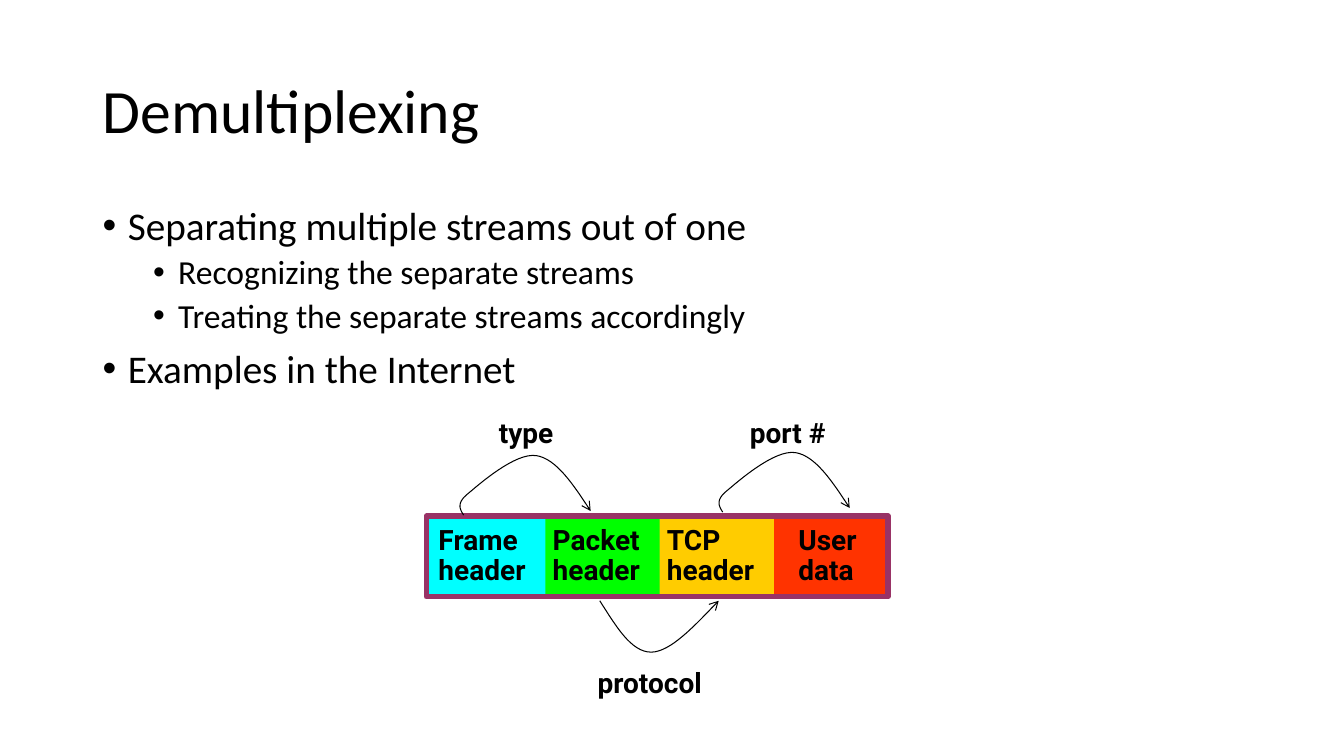
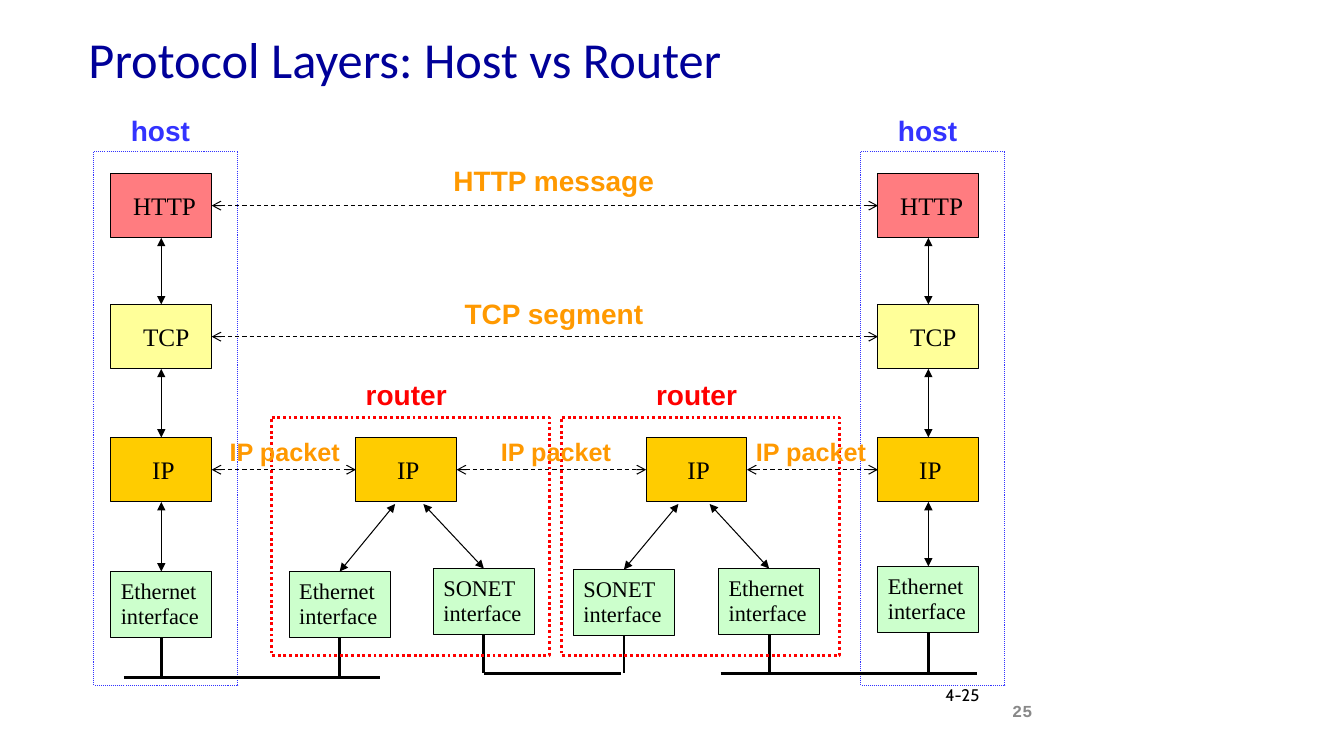
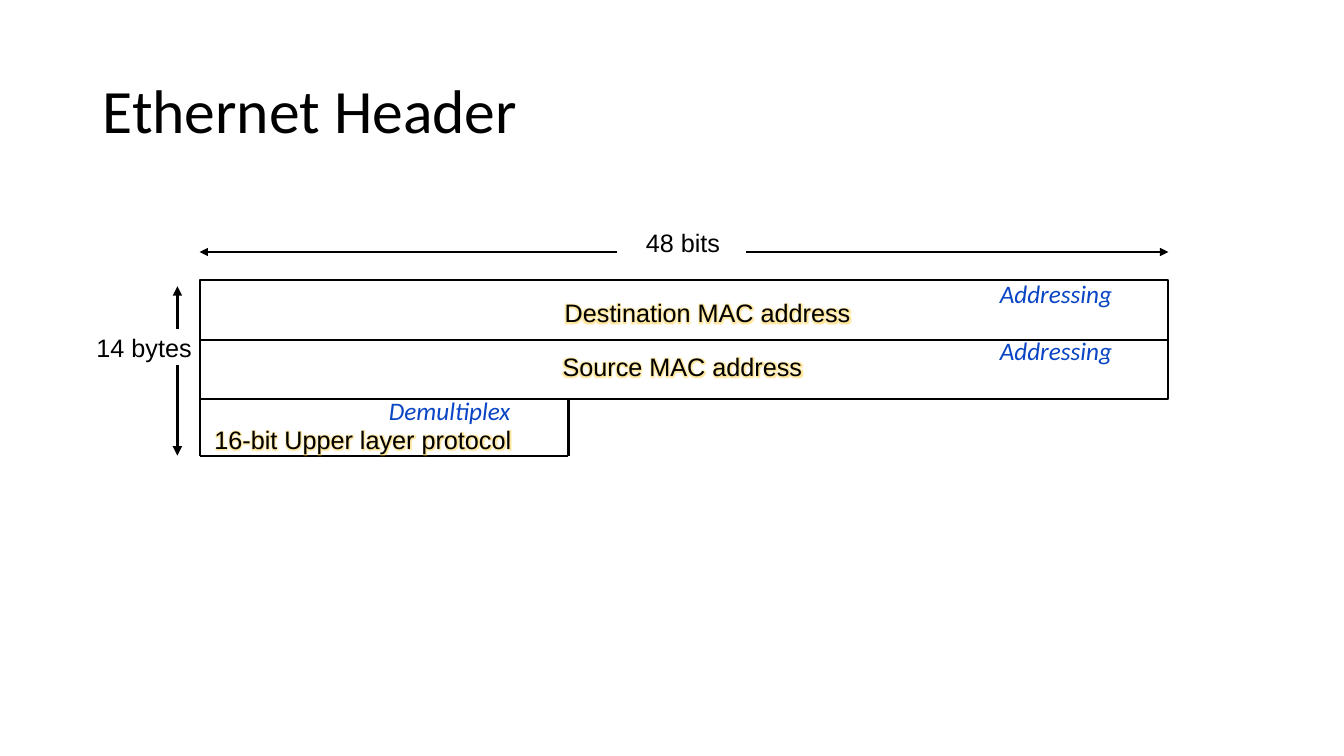
from dataclasses import dataclass, field
from typing import NamedTuple, Optional

from lxml.etree import SubElement
from pptx import Presentation
from pptx.dml.color import RGBColor
from pptx.enum.dml import MSO_LINE
from pptx.enum.shapes import MSO_CONNECTOR, MSO_SHAPE
from pptx.enum.text import MSO_ANCHOR, MSO_AUTO_SIZE, PP_ALIGN
from pptx.oxml.ns import qn
from pptx.util import Emu, Inches, Pt

# The slide is a grid of cells, each a tenth of an inch wide and high.
CELL = Inches(0.1)
COLUMNS, ROWS = 133.33, 75

BLACK = RGBColor(0x00, 0x00, 0x00)
WHITE = RGBColor(0xFF, 0xFF, 0xFF)
NAVY = RGBColor(0x00, 0x00, 0x99)
BLUE = RGBColor(0x33, 0x33, 0xFF)
NOTE_BLUE = RGBColor(0x09, 0x45, 0xC4)
RED = RGBColor(0xFF, 0x00, 0x00)
ORANGE = RGBColor(0xFF, 0x99, 0x00)
GRAY = RGBColor(0x89, 0x89, 0x89)
PLUM = RGBColor(0x99, 0x33, 0x66)
CYAN = RGBColor(0x00, 0xFF, 0xFF)
GREEN = RGBColor(0x00, 0xFF, 0x00)
GOLD = RGBColor(0xFF, 0xCC, 0x00)
VERMILION = RGBColor(0xFF, 0x33, 0x00)
SALMON = RGBColor(0xFF, 0x7C, 0x80)
PALE_YELLOW = RGBColor(0xFF, 0xFF, 0x99)
PALE_GREEN = RGBColor(0xCC, 0xFF, 0xCC)
GLOW = RGBColor(0xFF, 0xC0, 0x00)

# Connection sites of a rectangle
TOP, LEFT, BOTTOM, RIGHT = range(4)


class Point(NamedTuple):
    x: float
    y: float


class Area(NamedTuple):
    left: float
    top: float
    width: float
    height: float


class Joint(NamedTuple):
    box: object
    side: int


@dataclass(frozen=True)
class TextStyle:
    name: str
    size: float
    color: RGBColor = BLACK
    extra: dict = field(default_factory=dict)
    spacing: Optional[float] = None
    align: PP_ALIGN = PP_ALIGN.LEFT


@dataclass(frozen=True)
class Stroke:
    width: float = 0.75
    color: RGBColor = BLACK
    dash: Optional[MSO_LINE] = None
    head: Optional[str] = None
    tail: Optional[str] = None


@dataclass(frozen=True)
class Layer:
    text: str
    top: float
    inset: float
    color: RGBColor


@dataclass(frozen=True)
class Interface:
    text: str
    left: float
    top: float
    link_x: float
    bus_y: float


@dataclass(frozen=True)
class Router:
    left: float
    interfaces: tuple


BOLD = {"bold": True}
TITLE = TextStyle("Calibri", 44, spacing=0.9)
TITLE_AREA = Area(9.2, 4, 115, 14.5)
HEADER_TEXT = TextStyle("Roboto", 20, extra=BOLD, spacing=0.9)
ARC_LABEL = TextStyle("Roboto", 20, extra=BOLD)
LAYER_TEXT = TextStyle("Times New Roman", 18)
INTERFACE_TEXT = TextStyle("Times New Roman", 16, spacing=0.9)
FIELD_TEXT = TextStyle("Arial", 18, align=PP_ALIGN.CENTER)
NOTE_TEXT = TextStyle("Calibri", 18, NOTE_BLUE, {"italic": True})

THIN = Stroke()
ARC = Stroke(tail="arrow")
STACK_LINK = Stroke(head="triangle", tail="triangle")
PEER_LINK = Stroke(dash=MSO_LINE.DASH, head="arrow", tail="arrow")
BUS = Stroke(2)
FIELD_LINE = Stroke(1.5)


def cells(count: float) -> Emu:
    return Emu(round(count * CELL))


def write(frame, text: str, style: TextStyle) -> None:
    frame.text = text
    for paragraph in frame.paragraphs:
        paragraph.alignment = style.align
        if style.spacing:
            paragraph.line_spacing = style.spacing
        values = {"name": style.name, "size": Pt(style.size), **style.extra}
        for run in paragraph.runs:
            for attribute, value in values.items():
                setattr(run.font, attribute, value)
            run.font.color.rgb = style.color


def add_text(slide, area: Area, text: str, style: TextStyle,
             anchor=MSO_ANCHOR.TOP):
    box = slide.shapes.add_textbox(*map(cells, area))
    box.text_frame.word_wrap = True
    box.text_frame.vertical_anchor = anchor
    write(box.text_frame, text, style)
    return box


def add_label(slide, area: Area, text: str, style: TextStyle):
    """Add a one-line text that sets the size of its own box."""
    label = add_text(slide, area, text, style)
    label.text_frame.word_wrap = False
    label.text_frame.auto_size = MSO_AUTO_SIZE.SHAPE_TO_FIT_TEXT
    return label


def add_title(slide, text: str) -> None:
    add_text(slide, TITLE_AREA, text, TITLE, MSO_ANCHOR.MIDDLE)


def apply_stroke(shape, stroke: Stroke) -> None:
    shape.line.color.rgb = stroke.color
    shape.line.width = Pt(stroke.width)
    if stroke.dash:
        shape.line.dash_style = stroke.dash
    outline = shape.element.spPr.find(qn("a:ln"))
    for tag, kind in (("a:headEnd", stroke.head), ("a:tailEnd", stroke.tail)):
        if kind:
            SubElement(outline, qn(tag), type=kind)


def add_box(slide, area: Area, fill: Optional[RGBColor] = None,
            stroke: Optional[Stroke] = None, text: str = "",
            style: TextStyle = LAYER_TEXT, inset: float = 1):
    box = slide.shapes.add_shape(MSO_SHAPE.RECTANGLE, *map(cells, area))
    box.shadow.inherit = False
    if fill is None:
        box.fill.background()
    else:
        box.fill.solid()
        box.fill.fore_color.rgb = fill
    if stroke:
        apply_stroke(box, stroke)
    else:
        box.line.fill.background()
    if text:
        frame = box.text_frame
        margins = {"margin_left": cells(inset), "margin_right": 0,
                   "margin_top": 0, "margin_bottom": 0}
        for attribute, value in margins.items():
            setattr(frame, attribute, value)
        frame.vertical_anchor = MSO_ANCHOR.MIDDLE
        write(frame, text, style)
    return box


def add_line(slide, start, end, stroke: Stroke):
    """Draw a line whose ends are each a Point or a Joint on a box."""
    origin = Emu(0)
    line = slide.shapes.add_connector(
        MSO_CONNECTOR.STRAIGHT,
        *(cells(value) if isinstance(spot, Point) else origin
          for spot in (start, end)
          for value in (spot if isinstance(spot, Point) else (0, 0))))
    if isinstance(start, Joint):
        line.begin_connect(*start)
    if isinstance(end, Joint):
        line.end_connect(*end)
    apply_stroke(line, stroke)
    SubElement(line.element.spPr, qn("a:effectLst"))
    return line


def bezier(start, first, second, end, steps: int = 16):
    """Yield the points after the start of a cubic curve."""
    for step in range(1, steps + 1):
        t = step / steps
        weights = ((1 - t) ** 3, 3 * t * (1 - t) ** 2,
                   3 * t ** 2 * (1 - t), t ** 3)
        yield tuple(sum(w * p[axis] for w, p in
                        zip(weights, (start, first, second, end)))
                    for axis in (0, 1))


def add_arc(slide, knots, dx: float = 0, dy: float = 0) -> None:
    """Draw an arrow through a start and triples of curve points."""
    points = [Point(x + dx, y + dy) for x, y in knots]
    outline = slide.shapes.build_freeform(*map(cells, points[0]))
    for first in range(0, len(points) - 1, 3):
        outline.add_line_segments(
            [tuple(map(cells, spot))
             for spot in bezier(*points[first:first + 4])], close=False)
    arc = outline.convert_to_shape()
    arc.shadow.inherit = False
    arc.fill.background()
    apply_stroke(arc, ARC)


def add_glow(label) -> None:
    for properties in label.element.iter(qn("a:rPr")):
        fill = properties.find(qn("a:solidFill"))
        effects = SubElement(properties, qn("a:effectLst"))
        glow = SubElement(effects, qn("a:glow"), rad=str(Pt(5)))
        color = SubElement(glow, qn("a:srgbClr"), val=str(GLOW))
        SubElement(color, qn("a:alpha"), val="40000")
        fill.addnext(effects)


def add_bullets(slide, area: Area, items) -> None:
    sizes, befores, indents = (28, 24), (10, 5), (0.25, 0.75)
    body = add_text(slide, area, "\n".join(text for _, text in items),
                    TextStyle("Calibri", 28, spacing=0.9))
    for paragraph, (level, _) in zip(body.text_frame.paragraphs, items):
        paragraph.level = level
        paragraph.space_before = Pt(befores[level])
        paragraph.runs[0].font.size = Pt(sizes[level])
        properties = paragraph._p.get_or_add_pPr()
        properties.set("marL", str(Inches(indents[level])))
        properties.set("indent", str(Inches(-0.25)))
        SubElement(properties, qn("a:buFont"), typeface="Arial")
        SubElement(properties, qn("a:buChar"), char="•")


def build_demultiplexing(slide) -> None:
    add_title(slide, "Demultiplexing")
    add_bullets(slide, Area(9.2, 20, 115, 47.6), (
        (0, "Separating multiple streams out of one"),
        (1, "Recognizing the separate streams"),
        (1, "Treating the separate streams accordingly"),
        (0, "Examples in the Internet")))

    packet = Area(42.3, 51.2, 45.8, 8)
    parts = (("Frame\nheader", CYAN, 1.2), ("Packet\nheader", GREEN, 1.2),
             ("TCP\nheader", GOLD, 1.2), ("User\ndata", VERMILION, 2.9))
    part_width = 11.8
    pitch = (packet.width - part_width) / (len(parts) - 1)
    for column, (text, color, inset) in reversed(list(enumerate(parts))):
        add_box(slide, Area(packet.left + column * pitch, packet.top,
                            part_width, packet.height),
                color, text=text, style=HEADER_TEXT, inset=inset)
    add_box(slide, packet, stroke=Stroke(4, PLUM))

    arch = ((46, 51.1), (45.6, 50.5), (45.3, 49.9), (46.4, 49),
            (47.6, 48), (51.1, 44.9), (53.2, 45.2),
            (55.2, 45.5), (56.9, 48.1), (58.6, 50.7))
    dip = ((59.5, 59.6), (61.1, 62.1), (62.6, 64.7), (64.6, 64.7),
           (66.5, 64.7), (68.9, 62.1), (71.3, 59.6))
    add_arc(slide, arch)
    add_arc(slide, arch, 25.7, -0.3)
    add_arc(slide, dip)
    for area, text in ((Area(48.5, 40.7, 7.8, 4.4), "type"),
                       (Area(58.3, 65.5, 13.1, 4.3), "protocol"),
                       (Area(73.4, 40.7, 9.7, 4.3), "port #")):
        add_label(slide, area, text, ARC_LABEL)


LAYERS = (Layer("HTTP", 17.2, 2.2, SALMON),
          Layer("TCP", 30.2, 3.2, PALE_YELLOW),
          Layer("IP", 43.4, 4.1, GOLD))
ROUTERS = (
    Router(26.9, (Interface("Ethernet\ninterface", 28.7, 56.7, 39.2, 67.2),
                  Interface("SONET\ninterface", 43, 56.4, 42, 66.8))),
    Router(55.7, (Interface("SONET\ninterface", 56.9, 56.5, 67.3, 66.8),
                  Interface("Ethernet\ninterface", 71.3, 56.4, 70.4, 66.8))))


def add_layer(slide, left: float, layer: Layer):
    return add_box(slide, Area(left, layer.top, 10, 6.4), layer.color, THIN,
                   layer.text, inset=layer.inset)


def add_interface(slide, left: float, top: float, text: str, bus_y: float):
    """Draw an interface box and the stub that ties it to its bus."""
    width = 10
    box = add_box(slide, Area(left, top, width, 6.6), PALE_GREEN, THIN,
                  text, INTERFACE_TEXT)
    add_line(slide, Joint(box, BOTTOM), Point(left + width / 2, bus_y), BUS)
    return box


def add_host(slide, left: float, interface_top: float, bus_y: float):
    box_left = left + 1.7
    stack = [add_layer(slide, box_left, layer) for layer in LAYERS]
    stack.append(add_interface(slide, box_left, interface_top,
                               "Ethernet\ninterface", bus_y))
    for upper, lower in zip(stack, stack[1:]):
        add_line(slide, Joint(upper, BOTTOM), Joint(lower, TOP), STACK_LINK)
    add_box(slide, Area(left, 15, 14.3, 53),
            stroke=Stroke(0.75, BLUE, MSO_LINE.ROUND_DOT))
    add_label(slide, Area(left + 2.7, 10.8, 7.9, 4.4), "host",
              TextStyle("Arial", 20, BLUE, BOLD))
    return stack


def add_router(slide, router: Router):
    ip_layer = LAYERS[-1]
    ip_box = add_layer(slide, router.left + 8.4, ip_layer)
    for port in router.interfaces:
        box = add_interface(slide, port.left, port.top, port.text, port.bus_y)
        add_line(slide, Point(port.link_x, ip_layer.top + 6.6),
                 Joint(box, TOP), STACK_LINK)
    add_box(slide, Area(router.left, 41.4, 27.6, 23.6),
            stroke=Stroke(2, RED, MSO_LINE.ROUND_DOT))
    add_label(slide, Area(router.left + 8.4, 37, 10.2, 4.4), "router",
              TextStyle("Arial", 20, RED, BOLD))
    return ip_box


def build_protocol_layers(slide) -> None:
    add_text(slide, Area(7.8, -0.5, 85, 12.5),
             "Protocol Layers: Host vs Router",
             TextStyle("Calibri", 36, NAVY), MSO_ANCHOR.MIDDLE)
    add_text(slide, Area(92.8, 67.4, 7.4, 3), "4-25", TextStyle("Cabin", 12))
    add_text(slide, Area(80.1, 69, 23.3, 2.5), "25",
             TextStyle("Courier New", 12, GRAY, BOLD, align=PP_ALIGN.RIGHT))

    sender = add_host(slide, 9.3, 56.7, 67.2)
    receiver = add_host(slide, 85.4, 56.2, 66.8)
    routers = [add_router(slide, router) for router in ROUTERS]
    for start, end, y in ((12.3, 37.7, 67.2), (48, 61.6, 66.8),
                          (71.5, 96.9, 66.8)):
        add_line(slide, Point(start, y), Point(end, y), BUS)

    hops = (sender[2], *routers, receiver[2])
    peers = (*zip(sender[:2], receiver[:2]), *zip(hops, hops[1:]))
    for near, far in peers:
        add_line(slide, Joint(near, RIGHT), Joint(far, LEFT), PEER_LINK)
    for area, text, size in (
            (Area(44, 15.7, 22.1, 4.4), "HTTP message", 20),
            (Area(45.1, 28.9, 19.9, 4.4), "TCP segment", 20),
            *((Area(left, 42.8, 13.1, 4), "IP packet", 18)
              for left in (21.8, 48.7, 74))):
        add_label(slide, area, text, TextStyle("Arial", size, ORANGE, BOLD))


def build_ethernet_header(slide) -> None:
    add_title(slide, "Ethernet Header")
    header = Area(19.8, 27.8, 96.1, 11.8)
    right, bottom = header.left + header.width, header.top + header.height
    addresses = add_box(slide, header, WHITE, FIELD_LINE)
    add_line(slide, Joint(addresses, LEFT), Joint(addresses, RIGHT),
             FIELD_LINE)

    type_right, type_bottom = 56.4, 45.2
    corners = (Point(header.left, bottom), Point(header.left, type_bottom),
               Point(type_right, type_bottom), Point(type_right, bottom))
    for start, end in zip(corners, corners[1:]):
        add_line(slide, start, end, FIELD_LINE)

    width_y, height_x = 25, 17.6
    for start, end, weight in (
            (Point(74, width_y), Point(right, width_y), 1.5),
            (Point(61.2, width_y), Point(header.left, width_y), 1.5),
            (Point(height_x, 32.6), Point(height_x, 28.4), 2.25),
            (Point(height_x, 36.2), Point(height_x, type_bottom), 2.25)):
        add_line(slide, start, end, Stroke(weight, tail="triangle"))

    for area, text in ((Area(63, 22.1, 9.5, 4), "48 bits"),
                       (Area(8.5, 32.5, 11.6, 4), "14 bytes")):
        add_label(slide, area, text, FIELD_TEXT)
    for area, text in ((Area(54.9, 29, 30.6, 4), "Destination MAC address"),
                       (Area(54.7, 34.4, 26, 4), "Source MAC address"),
                       (Area(20.1, 41.6, 31.8, 4),
                        "16-bit Upper layer protocol")):
        add_glow(add_label(slide, area, text, FIELD_TEXT))
    for area, text in ((Area(98.2, 27.1, 13.3, 4), "Addressing"),
                       (Area(98.2, 32.8, 13.3, 4), "Addressing"),
                       (Area(37.6, 38.7, 14.2, 4), "Demultiplex")):
        add_label(slide, area, text, NOTE_TEXT)


def main() -> None:
    deck = Presentation()
    deck.slide_width, deck.slide_height = cells(COLUMNS), cells(ROWS)
    blank = deck.slide_layouts[6]
    for build in (build_demultiplexing, build_protocol_layers,
                  build_ethernet_header):
        build(deck.slides.add_slide(blank))
    deck.save("out.pptx")


if __name__ == "__main__":
    main()
